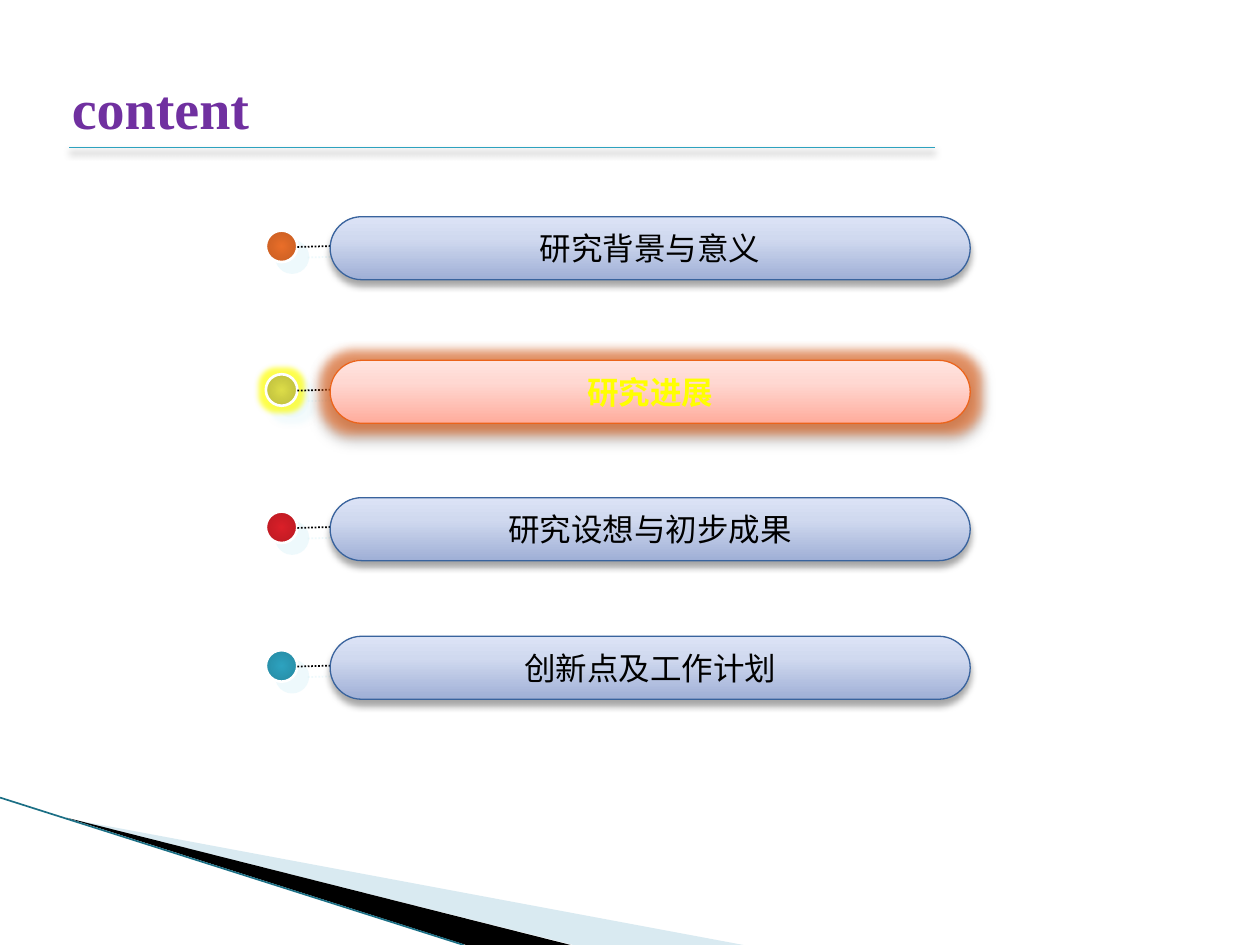
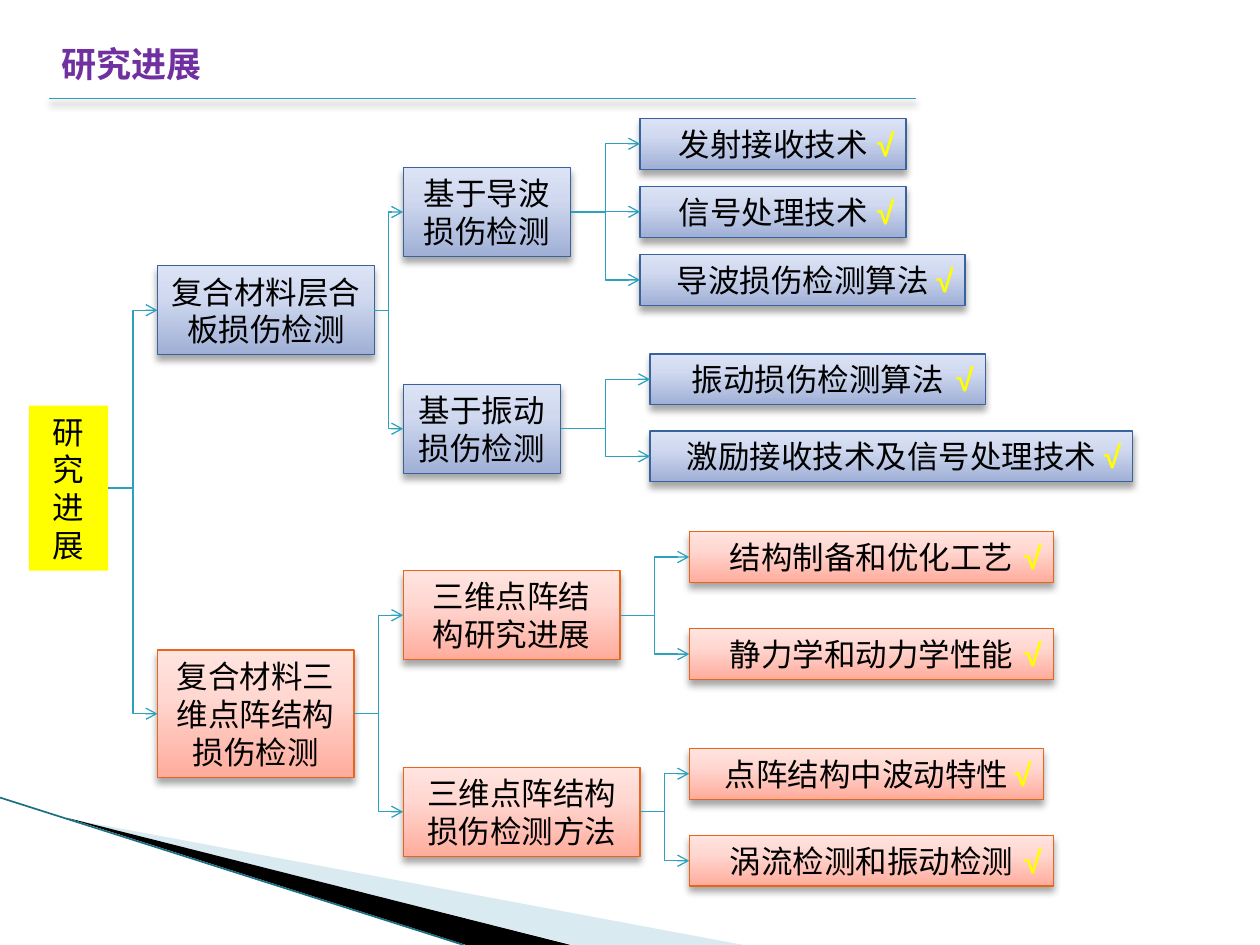
from dataclasses import dataclass

from pptx import Presentation
from pptx.dml.color import RGBColor
from pptx.enum.dml import MSO_LINE
from pptx.enum.shapes import MSO_CONNECTOR, MSO_SHAPE
from pptx.enum.text import MSO_ANCHOR, MSO_AUTO_SIZE, PP_ALIGN
from pptx.oxml import parse_xml
from pptx.oxml.ns import nsdecls
from pptx.util import Inches, Pt

STRAIGHT, ELBOW = MSO_CONNECTOR.STRAIGHT, MSO_CONNECTOR.ELBOW
RECT, PILL, OVAL = MSO_SHAPE.RECTANGLE, MSO_SHAPE.ROUNDED_RECTANGLE, MSO_SHAPE.OVAL
LEFT, CENTER = PP_ALIGN.LEFT, PP_ALIGN.CENTER
TOP, MIDDLE = MSO_ANCHOR.TOP, MSO_ANCHOR.MIDDLE
NO_FIT, DOTTED = MSO_AUTO_SIZE.NONE, MSO_LINE.ROUND_DOT
LEFT_SITE, RIGHT_SITE = 1, 3

BLACK = RGBColor(0x00, 0x00, 0x00)
WHITE = RGBColor(0xFF, 0xFF, 0xFF)
YELLOW = RGBColor(0xFF, 0xFF, 0x00)
PURPLE = RGBColor(0x70, 0x30, 0xA0)
TEAL = RGBColor(0x2D, 0xA2, 0xBF)
DEEP_TEAL = RGBColor(0x1B, 0x6F, 0x85)
PALE_TEAL = RGBColor(0xD9, 0xEA, 0xF1)
ICE = RGBColor(0xDE, 0xF5, 0xFA)
NAVY = RGBColor(0x39, 0x63, 0x9D)
ORANGE = RGBColor(0xEB, 0x64, 0x1B)
BLUE_STOPS = [(0, RGBColor(0x9F, 0xAF, 0xD6)), (65, RGBColor(0xD0, 0xD9, 0xEF)),
              (100, RGBColor(0xDC, 0xE3, 0xF6))]
CORAL_STOPS = [(0, RGBColor(0xFF, 0xAC, 0x9C)), (65, RGBColor(0xFF, 0xD8, 0xD2)),
               (100, RGBColor(0xFF, 0xE4, 0xDF))]
BLUE, CORAL = (BLUE_STOPS, NAVY), (CORAL_STOPS, ORANGE)

BODY_FONT = "Courier New"
UPWARD = '<a:lin ang="16200000" scaled="0"/>'
RADIAL = ('<a:path path="circle"><a:fillToRect l="50000" t="50000" '
          'r="50000" b="50000"/></a:path>')

WIDTH, HEIGHT = Inches(10), Inches(7.5)
COL, ROW = WIDTH / 100, HEIGHT / 75


@dataclass
class Box:
    left: float
    top: float
    width: float
    height: float

    def sub(self, left, top, width, height):
        return Box(self.left + left, self.top + top, width, height)

    def point(self, x, y):
        return round((self.left + x) * COL), round((self.top + y) * ROW)

    def emu(self):
        return (*self.point(0, 0), round(self.width * COL), round(self.height * ROW))


@dataclass
class Node:
    text: str
    left: float
    top: float
    width: float
    lines: int = 1
    children: tuple = ()


SLIDE = Box(0, 0, 100, 75)


def gradient(sp, stops, direction):
    marks = "".join(f'<a:gs pos="{pos * 1000}"><a:srgbClr val="{color}"/></a:gs>'
                    for pos, color in stops)
    sp.element.spPr.append(parse_xml(
        f'<a:gradFill {nsdecls("a")} rotWithShape="1"><a:gsLst>{marks}</a:gsLst>'
        f'{direction}</a:gradFill>'))


def shadow_xml(color, alpha, blur, dist, angle):
    return (f'<a:outerShdw blurRad="{Pt(blur)}" dist="{Pt(dist)}" dir="{angle * 60000}" '
            f'algn="ctr" rotWithShape="0"><a:srgbClr val="{color}">'
            f'<a:alpha val="{alpha * 1000}"/></a:srgbClr></a:outerShdw>')


def glow_xml(color, alpha, radius):
    return (f'<a:glow rad="{Pt(radius)}"><a:srgbClr val="{color}">'
            f'<a:alpha val="{alpha * 1000}"/></a:srgbClr></a:glow>')


BOX_SHADOW = shadow_xml(BLACK, 35, 4, 3, 90)
RULE_SHADOW = shadow_xml(BLACK, 40, 4, 3, 90)
DOT_SHADOW = shadow_xml(ICE, 50, 0, 8.5, 45)
PILL_GLOW = glow_xml(ORANGE, 60, 12)
DOT_GLOW = glow_xml(YELLOW, 70, 6)


def effects(sp, xml=""):
    sp.element.spPr.append(parse_xml(f'<a:effectLst {nsdecls("a")}>{xml}</a:effectLst>'))


def outline(sp, color, width):
    sp.line.color.rgb = color
    sp.line.width = Pt(width)


def add_line(slide, start, end, color, width, kind=STRAIGHT, effect=""):
    line = slide.shapes.add_connector(kind, *start, *end)
    outline(line, color, width)
    effects(line, effect)
    return line


def write(sp, text, size, font, color, bold=False, align=CENTER, anchor=MIDDLE):
    tf = sp.text_frame
    tf.word_wrap = True
    tf.auto_size = NO_FIT
    tf.vertical_anchor = anchor
    tf.text = text
    for p in tf.paragraphs:
        p.alignment = align
        p.font.size, p.font.name, p.font.bold = Pt(size), font, bold
        p.font.color.rgb = color


def panel(slide, kind, box, style, text, color=BLACK, bold=False, glow=""):
    stops, edge = style
    sp = slide.shapes.add_shape(kind, *box.emu())
    gradient(sp, stops, UPWARD)
    outline(sp, edge, 0.75)
    effects(sp, glow + BOX_SHADOW)
    write(sp, text, 18, BODY_FONT, color, bold)
    return sp


def corner_wedge(slide, box):
    wedges = [(PALE_TEAL, [(5.5, 1.7), (59, 11.7), (45.5, 11.7)]),
              (BLACK, [(5.3, 1.6), (45.3, 11.7), (37, 11.7)])]
    for color, corners in wedges:
        points = [box.point(x, y) for x, y in corners]
        builder = slide.shapes.build_freeform(*points[0])
        builder.add_line_segments(points[1:])
        sp = builder.convert_to_shape()
        sp.fill.solid()
        sp.fill.fore_color.rgb = color
        sp.line.fill.background()
        effects(sp)
    add_line(slide, box.point(0, 0), box.point(36.8, 11.7), DEEP_TEAL, 0.95)


def heading(slide, box, text, size, font, rule):
    title = slide.shapes.title
    title.left, title.top, title.width, title.height = box.emu()
    write(title, text, size, font, PURPLE, True, LEFT, TOP)
    add_line(slide, rule.point(0, 0), rule.point(rule.width, 0), TEAL, 0.75,
             effect=RULE_SHADOW)


def agenda_item(slide, box, text, dot_colors, active):
    dot = slide.shapes.add_shape(OVAL, *box.sub(0, 1.1, 2.5, 2.5).emu())
    gradient(dot, list(zip((0, 100), dot_colors)), RADIAL)
    outline(dot, WHITE, 1.5)
    effects(dot, (DOT_GLOW if active else "") + DOT_SHADOW)
    leader = add_line(slide, box.point(2.5, 2.4), box.point(6.3, 2.3), BLACK, 1,
                      effect=DOT_SHADOW)
    leader.line.dash_style = DOTTED
    pill = panel(slide, PILL, box.sub(5.1, 0, box.width - 5.1, box.height),
                 CORAL if active else BLUE, text, YELLOW if active else BLACK,
                 active, PILL_GLOW if active else "")
    pill.adjustments[0] = 0.5


def agenda(slide, box):
    items = [
        (0, "研究背景与意义", (ORANGE_DOT, RGBColor(0xC3, 0x5C, 0x22))),
        (11.4, "研究进展", (RGBColor(0xDC, 0xDC, 0x48), RGBColor(0xB8, 0xB8, 0x3C))),
        (22.3, "研究设想与初步成果", (RGBColor(0xDA, 0x1F, 0x28), RGBColor(0xB7, 0x1A, 0x22))),
        (33.3, "创新点及工作计划", (TEAL, RGBColor(0x26, 0x88, 0xA0))),
    ]
    for top, text, dot_colors in items:
        agenda_item(slide, box.sub(0, top, box.width, 5), text, dot_colors,
                    text == "研究进展")


ORANGE_DOT = RGBColor(0xE9, 0x6E, 0x29)

LAMINATE = Node("复合材料层合板损伤检测", 10.2, 11.7, 17.2, 2, (
    Node("基于导波损伤检测", 29.7, 3.9, 13.3, 2, (
        Node("发射接收技术", 48.5, 0, 21.1),
        Node("信号处理技术", 48.5, 5.4, 21.1),
        Node("导波损伤检测算法", 48.5, 10.8, 25.8))),
    Node("基于振动损伤检测", 29.7, 21.1, 12.5, 2, (
        Node("振动损伤检测算法", 49.3, 18.7, 26.6),
        Node("激励接收技术及信号处理技术", 49.3, 24.8, 38.3)))))

LATTICE = Node("复合材料三维点阵结构损伤检测", 10.2, 42.2, 15.6, 3, (
    Node("三维点阵结\n构研究进展", 29.7, 35.9, 17.2, 2, (
        Node("结构制备和优化工艺", 52.4, 32.8, 28.9),
        Node("静力学和动力学性能", 52.4, 40.5, 28.9))),
    Node("三维点阵结构损伤检测方法", 29.7, 51.5, 18.8, 2, (
        Node("点阵结构中波动特性", 52.4, 50, 28.1),
        Node("涡流检测和振动检测", 52.4, 56.9, 28.9)))))


def link(slide, parent, child):
    line = add_line(slide, (0, 0), (0, 0), TEAL, 0.75, ELBOW)
    line.begin_connect(parent, RIGHT_SITE)
    line.end_connect(child, LEFT_SITE)
    line.line._get_or_add_ln().append(
        parse_xml(f'<a:tailEnd {nsdecls("a")} type="arrow"/>'))


def tick(slide, box):
    tb = slide.shapes.add_textbox(*box.emu())
    write(tb, "√", 18, BODY_FONT, YELLOW, True)


def branch(slide, box, node, style, parent):
    place = box.sub(node.left, node.top, node.width, 1 + 3.03 * node.lines)
    sp = panel(slide, RECT, place, style, node.text)
    link(slide, parent, sp)
    for child in node.children:
        branch(slide, box, child, style, sp)
    if not node.children:
        tick(slide, place.sub(node.width - 4.75, 0, 6.3, place.height))


def progress_tree(slide, box):
    root = slide.shapes.add_shape(RECT, *box.sub(0, 22.8, 6.3, 13.1).emu())
    root.fill.solid()
    root.fill.fore_color.rgb = YELLOW
    root.line.fill.background()
    root.shadow.inherit = False
    write(root, "\n".join("研究进展"), 18, BODY_FONT, BLACK)
    branch(slide, box, LAMINATE, BLUE, root)
    branch(slide, box, LATTICE, CORAL, root)


def new_slide(prs):
    slide = prs.slides.add_slide(prs.slide_layouts[5])
    corner_wedge(slide, SLIDE.sub(0, 63.3, 60, 11.7))
    return slide


def main():
    prs = Presentation()
    prs.slide_width, prs.slide_height = WIDTH, HEIGHT

    s = new_slide(prs)
    heading(s, SLIDE.sub(4.7, 5.3, 21.9, 6), "content", 32, "Times New Roman",
            SLIDE.sub(5.5, 11.7, 68.7, 0))
    agenda(s, SLIDE.sub(21.1, 17.2, 55.9, 38.3))

    s = new_slide(prs)
    heading(s, SLIDE.sub(3.9, 2.9, 42.2, 4.8), "研究进展", 20, "Noto Sans CJK SC",
            SLIDE.sub(3.9, 7.8, 68.8, 0))
    progress_tree(s, SLIDE.sub(2.3, 9.4, 87.6, 60.9))

    prs.save("out.pptx")


if __name__ == "__main__":
    main()
